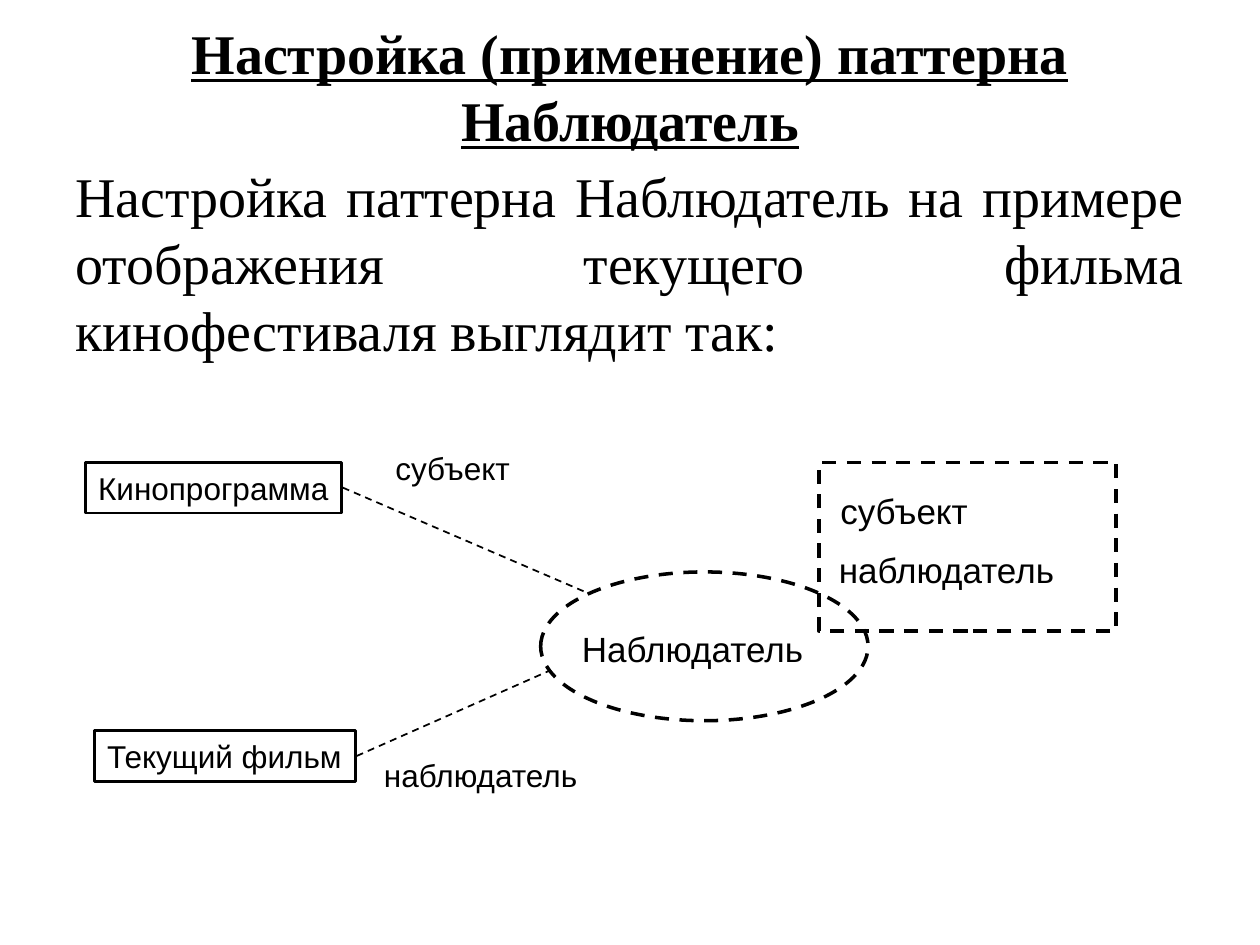
from pptx import Presentation
from pptx.dml.color import RGBColor
from pptx.enum.dml import MSO_LINE
from pptx.enum.shapes import MSO_CONNECTOR, MSO_SHAPE
from pptx.enum.text import MSO_ANCHOR, PP_ALIGN
from pptx.oxml.ns import qn
from pptx.util import Cm, Pt

RECTANGLE, ELLIPSE = MSO_SHAPE.RECTANGLE, MSO_SHAPE.OVAL
STRAIGHT = MSO_CONNECTOR.STRAIGHT
DASH = MSO_LINE.DASH
TOP, MIDDLE = MSO_ANCHOR.TOP, MSO_ANCHOR.MIDDLE
LEFT, CENTER, JUSTIFY = PP_ALIGN.LEFT, PP_ALIGN.CENTER, PP_ALIGN.JUSTIFY

COLORS = {"ink": "000000", "paper": "FFFFFF"}
SERIF, SANS = "Times New Roman", "Arial"

HEADING = "Настройка (применение) паттерна Наблюдатель"
INTRO = ("Настройка паттерна Наблюдатель на примере отображения "
         "текущего фильма кинофестиваля выглядит так:")
COLLABORATION = [
    (RECTANGLE, (16.51, 9.32, 5.99, 3.4)),
    (ELLIPSE, (10.9, 11.53, 6.6, 3)),
]
CLASSES = [
    ("Кинопрограмма", (1.73, 9.32, 5.16, 1.02)),
    ("Текущий фильм", (1.91, 14.73, 5.26, 1.02)),
]
LABELS = [
    ("субъект", 20, (16.69, 9.73, 3.99, 1.12)),
    ("наблюдатель", 20, (16.66, 10.92, 4.93, 1.12)),
    ("Наблюдатель", 20, (11.48, 12.52, 5.05, 1.12)),
    ("субъект", 18, (7.72, 8.92, 2.82, 1.02)),
    ("наблюдатель", 18, (7.49, 15.11, 4.5, 1.02)),
]
ROLE_LINKS = [
    (6.91, 9.83, 11.86, 11.96),
    (7.19, 15.24, 11.1, 13.51),
]


def lengths(values):
    return [Cm(value) for value in values]


def color(name):
    return RGBColor.from_string(COLORS[name])


def style_line(line, width, dash=None):
    line.color.rgb = color("ink")
    line.width = Pt(width)
    if dash is not None:
        line.dash_style = dash


def write(box, text, size, font, align=LEFT, anchor=TOP, wrap=False, bold=False, underline=False):
    frame = box.text_frame
    frame.word_wrap = wrap
    frame.vertical_anchor = anchor
    frame.margin_left = frame.margin_right = Cm(0.25)
    frame.margin_top = frame.margin_bottom = Cm(0.13)
    paragraph = frame.paragraphs[0]
    paragraph.alignment = align
    run = paragraph.add_run()
    run.text = text
    run.font.name = font
    run.font.size = Pt(size)
    run.font.bold = bold
    run.font.underline = underline
    run.font.color.rgb = color("ink")


def add_outline(shapes, preset, place, width, dash=None):
    outline = shapes.add_shape(preset, *lengths(place))
    outline.shadow.inherit = False
    outline.fill.background()
    style_line(outline.line, width, dash)
    return outline


def main():
    deck = Presentation()
    deck.slide_width, deck.slide_height = Cm(25.4), Cm(19.05)
    slide = deck.slides.add_slide(deck.slide_layouts[6])
    slide.background.fill.solid()
    slide.background.fill.fore_color.rgb = color("paper")
    shapes = slide.shapes

    heading = shapes.add_textbox(*lengths((1.27, 0.33, 22.86, 2.79)))
    write(heading, HEADING, 32, SERIF, CENTER, MIDDLE, wrap=True, bold=True, underline=True)
    intro = shapes.add_textbox(*lengths((1.27, 3.12, 22.86, 13.89)))
    write(intro, INTRO, 32, SERIF, JUSTIFY, wrap=True)

    for preset, place in COLLABORATION:
        add_outline(shapes, preset, place, 2, DASH)
    for name, place in CLASSES:
        write(add_outline(shapes, RECTANGLE, place, 1.5), name, 18, SANS)
    for link in ROLE_LINKS:
        connector = shapes.add_connector(STRAIGHT, *lengths(link))
        style_line(connector.line, 1, DASH)
        properties = connector._element.spPr
        properties.append(properties.makeelement(qn("a:effectLst"), {}))
    for text, size, place in LABELS:
        write(shapes.add_textbox(*lengths(place)), text, size, SANS)

    deck.save("out.pptx")


if __name__ == "__main__":
    main()
